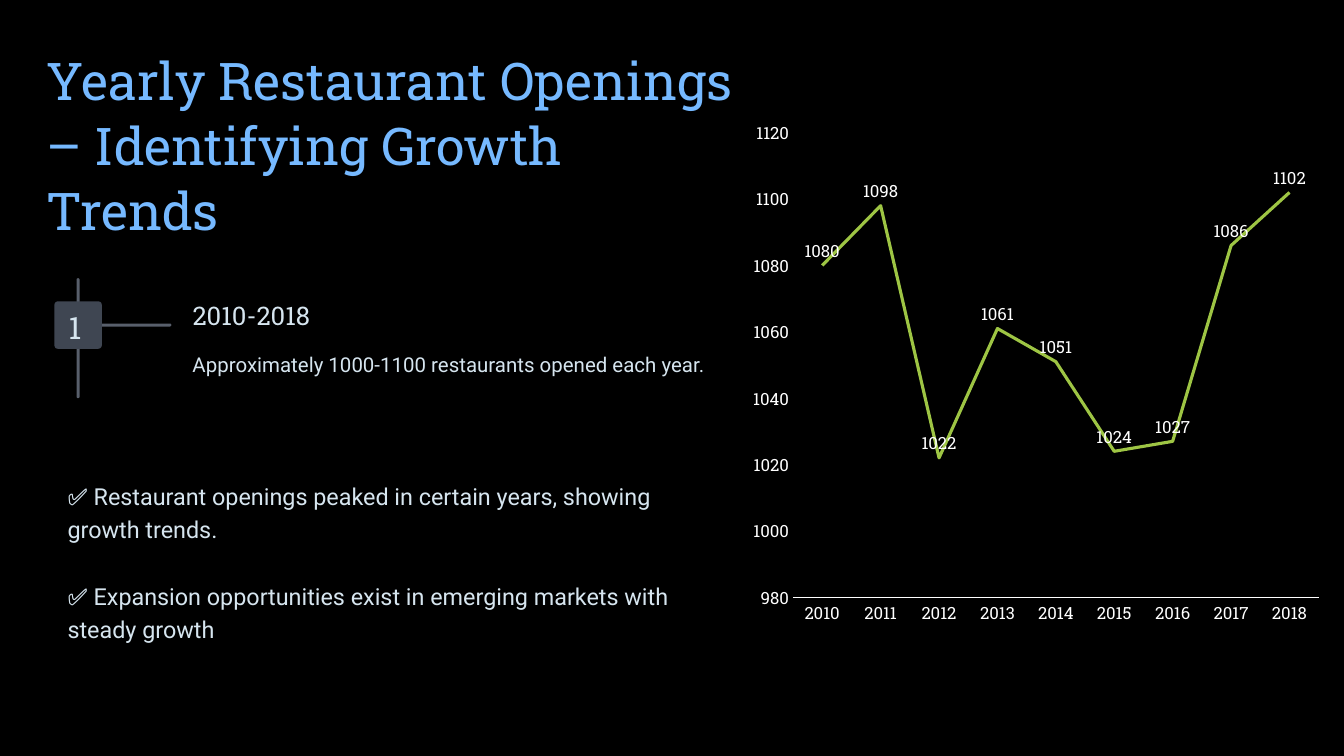
from lxml.etree import SubElement
from pptx import Presentation
from pptx.chart.data import CategoryChartData
from pptx.dml.color import RGBColor
from pptx.enum.chart import XL_CHART_TYPE, XL_LABEL_POSITION, XL_TICK_MARK
from pptx.enum.shapes import MSO_SHAPE
from pptx.enum.text import MSO_ANCHOR, MSO_AUTO_SIZE, PP_ALIGN
from pptx.oxml.ns import qn
from pptx.util import Inches, Pt

BLACK = RGBColor(0x00, 0x00, 0x00)
WHITE = RGBColor(0xFF, 0xFF, 0xFF)
SKY = RGBColor(0x76, 0xB9, 0xFF)
MIST = RGBColor(0xD6, 0xE5, 0xEF)
SLATE = RGBColor(0x58, 0x5F, 0x6B)
CHARCOAL = RGBColor(0x3F, 0x46, 0x52)
LIME = RGBColor(0x9E, 0xC5, 0x44)
SERIF, SANS = "Roboto Slab", "Roboto"
COLUMNS, ROWS = 133.33, 75

OPENINGS = {
    "2010": 1080, "2011": 1098, "2012": 1022, "2013": 1061, "2014": 1051,
    "2015": 1024, "2016": 1027, "2017": 1086, "2018": 1102,
}
FINDINGS = [
    "✅ Restaurant openings peaked in certain years, showing growth trends.",
    "✅ Expansion opportunities exist in emerging markets with steady growth",
]


def apply(target, formats):
    """Set each attribute named in formats on the target."""
    for attribute, value in formats.items():
        setattr(target, attribute, value)


class GridSlide:
    """A dark slide laid out on a grid of tenth-inch columns and rows."""

    def __init__(self, deck):
        """Add a title and content slide with a black background."""
        self.slide = deck.slides.add_slide(deck.slide_layouts[1])
        self.shapes = self.slide.shapes
        self.slide.background.fill.solid()
        self.slide.background.fill.fore_color.rgb = BLACK

    def cells(self, *lengths):
        """Turn grid counts into lengths."""
        return [Inches(length / 10) for length in lengths]

    def style_font(self, font, face, size, color):
        """Give a font its face, size and colour."""
        apply(font, {"name": face, "size": Pt(size)})
        font.color.rgb = color

    def set_text(self, holder, area, lines, face, size, color, leading,
                 align=PP_ALIGN.LEFT, inset=0, gap=0):
        """Place a text holder and fill it with formatted paragraphs."""
        apply(holder, dict(zip(("left", "top", "width", "height"), self.cells(*area))))
        side, edge = self.cells(inset, inset / 2)
        frame = holder.text_frame
        apply(frame, {
            "text": "\n".join(lines), "word_wrap": True,
            "auto_size": MSO_AUTO_SIZE.NONE, "vertical_anchor": MSO_ANCHOR.TOP,
            "margin_left": side, "margin_right": side,
            "margin_top": edge, "margin_bottom": edge,
        })
        for paragraph in frame.paragraphs:
            apply(paragraph, {
                "alignment": align, "line_spacing": Pt(leading),
                "space_before": Pt(0), "space_after": Pt(gap),
            })
            self.style_font(paragraph.runs[0].font, face, size, color)

    def title(self, area, heading, *style):
        """Fill the title placeholder."""
        self.set_text(self.shapes.title, area, [heading], *style)

    def body(self, area, lines, *style, **spacing):
        """Fill the body placeholder with unbulleted paragraphs."""
        findings = self.slide.placeholders[1]
        self.set_text(findings, area, lines, *style, **spacing)
        for paragraph in findings.text_frame.paragraphs:
            properties = paragraph._p.get_or_add_pPr()
            properties.set("marL", "0")
            properties.set("indent", "0")
            SubElement(properties, qn("a:buNone"))

    def label(self, area, wording, *style, **spacing):
        """Add a single-paragraph text box."""
        self.set_text(self.shapes.add_textbox(0, 0, 0, 0), area, [wording], *style, **spacing)

    def block(self, area, color, rounding):
        """Add a plain rounded block."""
        block = self.shapes.add_shape(MSO_SHAPE.ROUNDED_RECTANGLE, *self.cells(*area))
        block.adjustments[0] = rounding
        block.shadow.inherit = False
        block.fill.solid()
        block.fill.fore_color.rgb = color
        block.line.fill.background()

    def line_chart(self, area, values, plot_shares):
        """Add a labelled line chart with a fixed plot area."""
        data = CategoryChartData()
        data.categories = list(values)
        data.add_series("Series 1", list(values.values()))
        chart = self.shapes.add_chart(XL_CHART_TYPE.LINE, *self.cells(*area), data).chart
        apply(chart, {"has_legend": False, "has_title": False})
        self.style_font(chart.font, SERIF, 10, WHITE)

        years, counts = chart.category_axis, chart.value_axis
        for axis in (years, counts):
            apply(axis, {
                "has_major_gridlines": False,
                "major_tick_mark": XL_TICK_MARK.NONE,
                "minor_tick_mark": XL_TICK_MARK.NONE,
            })
            self.style_font(axis.tick_labels.font, SERIF, 12, WHITE)
        apply(counts, {"minimum_scale": 980, "maximum_scale": 1120, "major_unit": 20})
        counts.format.line.fill.background()
        years.format.line.color.rgb = WHITE
        years.format.line.width = Pt(0.75)

        openings = chart.plots[0].series[0]
        openings.smooth = False
        openings.format.line.color.rgb = LIME
        openings.format.line.width = Pt(2.25)
        chart.plots[0].vary_by_categories = False
        apply(openings.data_labels, {"show_value": True, "position": XL_LABEL_POSITION.ABOVE})
        self.style_font(openings.data_labels.font, SERIF, 12, WHITE)
        self.fix_plot(chart, plot_shares)

    def fix_plot(self, chart, shares):
        """Pin the inner plot area to shares of the chart's size."""
        plot_area = chart.element.find(".//" + qn("c:plotArea"))
        for automatic in plot_area.findall(qn("c:layout")):
            plot_area.remove(automatic)
        layout = SubElement(plot_area, qn("c:layout"))
        plot_area.insert(0, layout)
        manual = SubElement(layout, qn("c:manualLayout"))
        settings = {"layoutTarget": "inner", "xMode": "edge", "yMode": "edge"}
        settings.update(zip("xywh", shares))
        for tag, value in settings.items():
            SubElement(manual, qn("c:" + tag)).set("val", str(value))


def main():
    """Build the restaurant openings slide."""
    deck = Presentation()
    apply(deck, {"slide_width": Inches(COLUMNS / 10), "slide_height": Inches(ROWS / 10)})
    page = GridSlide(deck)
    page.title((4.6, 4.6, 68.9, 19.3),
               "Yearly Restaurant Openings – Identifying Growth Trends",
               SERIF, 37.1, SKY, 46.2)
    page.block((7.6, 27.6, 0.3, 11.9), SLATE, 0.5)
    page.block((9.8, 32.1, 7.2, 0.3), SLATE, 0.5)
    page.block((5.4, 29.9, 4.7, 4.7), CHARCOAL, 0.07)
    page.label((5.4, 31.2, 4.1, 3.1), "1", SERIF, 22.1, MIST, 22.1, align=PP_ALIGN.CENTER)
    page.label((19.1, 29.6, 25.8, 3.2), "2010-2018", SERIF, 18.3, MIST, 22.9)
    page.label((19.1, 34.1, 54.4, 3.3),
               "Approximately 1000-1100 restaurants opened each year.",
               SANS, 14.6, MIST, 23.8)
    page.line_chart((73.4, 11.1, 58.6, 51.8), OPENINGS, (0.09, 0.04, 0.89, 0.89))
    page.body((5.7, 46.8, 66.7, 17.6), FINDINGS, SANS, 16.7, MIST, 23.8, inset=1, gap=23.8)
    deck.save("out.pptx")


if __name__ == "__main__":
    main()
